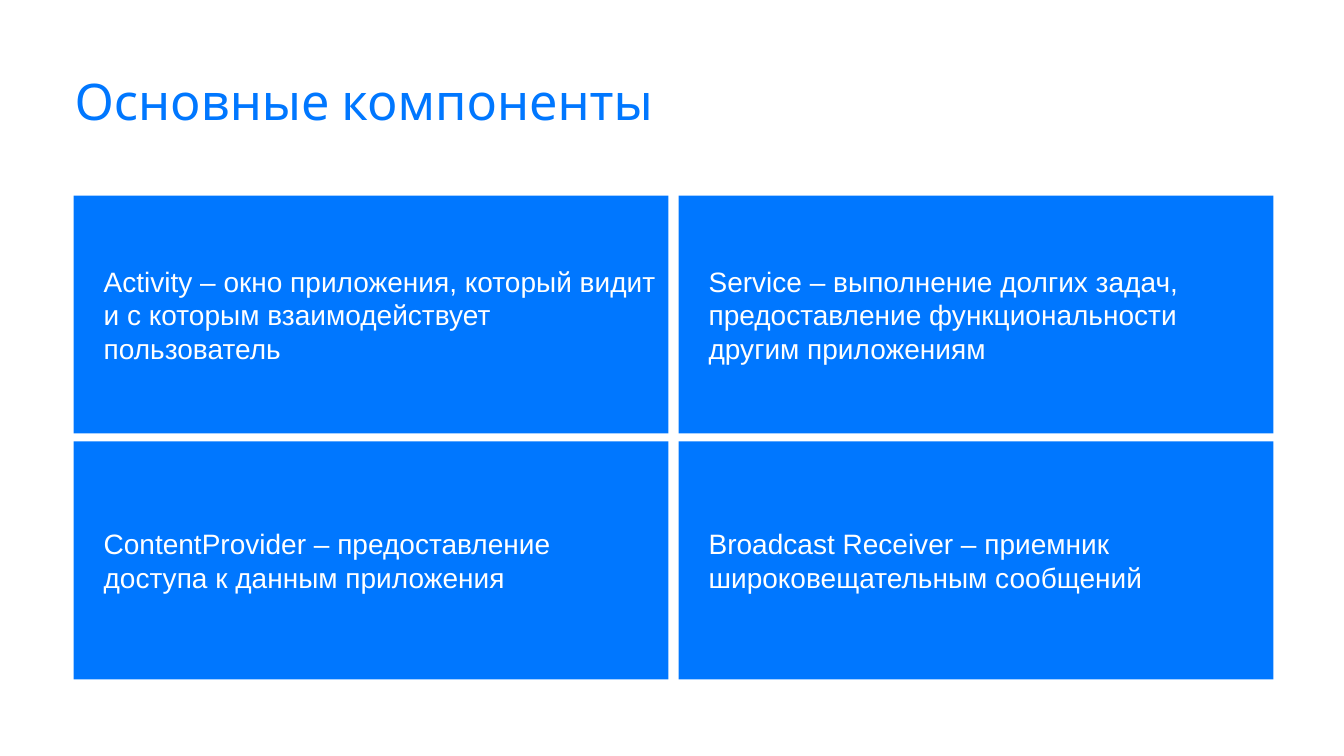
from pptx import Presentation
from pptx.dml.color import RGBColor
from pptx.enum.shapes import MSO_SHAPE
from pptx.enum.text import MSO_ANCHOR, PP_ALIGN
from pptx.util import Emu, Pt

RECTANGLE = MSO_SHAPE.RECTANGLE
TOP, MIDDLE = MSO_ANCHOR.TOP, MSO_ANCHOR.MIDDLE
LEFT = PP_ALIGN.LEFT
TITLE_ONLY = 5
EMU_PER_PX = 9144

COMPONENTS = [
    ["Activity – окно приложения, который видит и с которым взаимодействует пользователь",
     "Service – выполнение долгих задач, предоставление функциональности другим приложениям"],
    ["ContentProvider – предоставление доступа к данным приложения",
     "Broadcast Receiver – приемник широковещательным сообщений"],
]


def px(length):
    return Emu(length * EMU_PER_PX)


def color(value):
    return RGBColor.from_string(value)


class ComponentSlide:
    blue = "0077FF"
    white = "FFFFFF"
    heading_font = "Karla"
    body_font = "Arial"

    def __init__(self, presentation):
        self.slide = presentation.slides.add_slide(presentation.slide_layouts[TITLE_ONLY])
        self.slide.background.fill.solid()
        self.slide.background.fill.fore_color.rgb = color(self.white)

    def add_text(self, paragraph, text, font, size, ink):
        paragraph.alignment = LEFT
        run = paragraph.add_run()
        run.text = text
        run.font.name = font
        run.font.size = Pt(size)
        run.font.color.rgb = color(ink)

    def title(self, text, left, top, width, height):
        heading = self.slide.shapes.title
        heading.left, heading.top = px(left), px(top)
        heading.width, heading.height = px(width), px(height)
        frame = heading.text_frame
        frame.margin_left = frame.margin_right = frame.margin_top = frame.margin_bottom = 0
        frame.vertical_anchor = TOP
        frame.word_wrap = True
        paragraph = frame.paragraphs[0]
        paragraph.line_spacing = 0.9
        self.add_text(paragraph, text, self.heading_font, 36, self.blue)

    def card(self, text, left, top, width, height):
        panel = self.slide.shapes.add_shape(RECTANGLE, px(left), px(top), px(width), px(height))
        panel.shadow.inherit = False
        panel.fill.solid()
        panel.fill.fore_color.rgb = color(self.blue)
        panel.line.fill.background()
        frame = panel.text_frame
        frame.word_wrap = True
        frame.vertical_anchor = MIDDLE
        paragraph = frame.paragraphs[0]
        indent = paragraph._p.get_or_add_pPr()
        indent.set("marL", str(px(20)))
        indent.set("indent", "0")
        self.add_text(paragraph, text, self.body_font, 20, self.white)


def main():
    presentation = Presentation()
    presentation.slide_width, presentation.slide_height = px(1333), px(750)
    overview = ComponentSlide(presentation)
    overview.title("Основные компоненты", 74, 76, 1187, 70)
    card_width, card_height = 590, 236
    column_gap, row_gap = 10, 8
    for row, descriptions in enumerate(COMPONENTS):
        for column, description in enumerate(descriptions):
            overview.card(description,
                          73 + column * (card_width + column_gap),
                          194 + row * (card_height + row_gap),
                          card_width, card_height)
    presentation.save("out.pptx")


if __name__ == "__main__":
    main()
